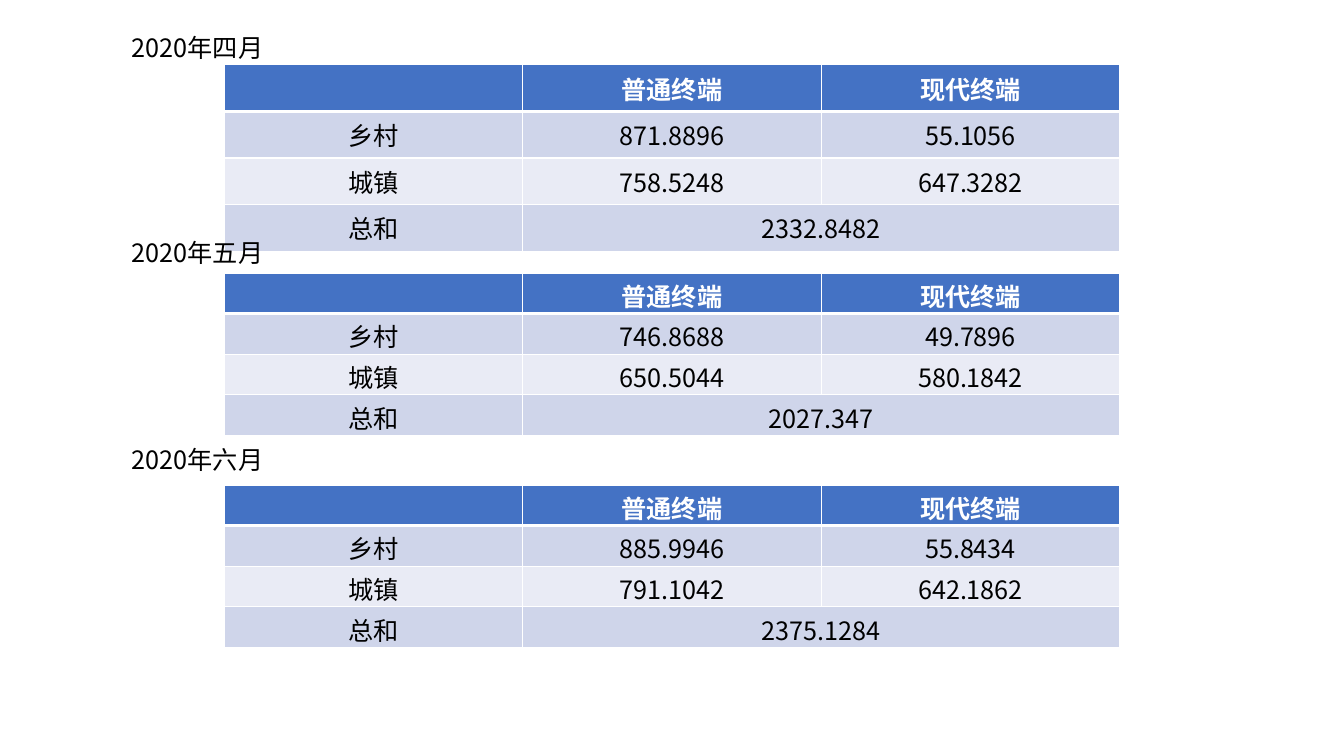
from lxml.etree import SubElement
from pptx import Presentation
from pptx.dml.color import RGBColor as Rgb
from pptx.enum.text import MSO_AUTO_SIZE as AutoSize, PP_ALIGN as Align
from pptx.oxml.ns import qn
from pptx.util import Pt

COLORS = {"header": "4472C4", "odd": "CFD5EA", "even": "E9EBF5",
          "line": "FFFFFF", "text": "000000", "header_text": "FFFFFF"}
FONT = "Noto Sans CJK SC"
TABLE_LEFT, COLUMN_WIDTH, ROW_HEIGHT = 160, 213.33, 29
HEADINGS = ["", "普通终端", "现代终端"]

# Label, label top, table top, bottom and top cell margins, rows
MONTHS = [
    ("2020年四月", 19.44, 46.3, 3.6, 3.6,
     [["乡村", "871.8896", "55.1056"],
      ["城镇", "758.5248", "647.3282"],
      ["总和", "2332.8482", ""]]),
    ("2020年五月", 165.6, 195, 0, 2.9,
     [["乡村", "746.8688", "49.7896"],
      ["城镇", "650.5044", "580.1842"],
      ["总和", "2027.347", ""]]),
    ("2020年六月", 313.92, 346.4, 0, 2.9,
     [["乡村", "885.9946", "55.8434"],
      ["城镇", "791.1042", "642.1862"],
      ["总和", "2375.1284", ""]]),
]


def write(frame, text, color="text", bold=False, align=Align.LEFT):
    paragraph = frame.paragraphs[0]
    paragraph.alignment = align
    if not text:
        paragraph.font.size = Pt(18)
        return
    run = paragraph.add_run()
    run.text = text
    run.font.size = Pt(18)
    run.font.bold = bold
    run.font.name = FONT
    run.font.color.rgb = Rgb.from_string(COLORS[color])
    SubElement(run.font._element, qn("a:ea"), typeface=FONT)


def add_borders(cell, widths):
    properties = cell._tc.get_or_add_tcPr()
    for position, (side, width) in enumerate(widths.items()):
        line = properties.makeelement(qn(f"a:ln{side}"), {"w": str(Pt(width))})
        fill = SubElement(line, qn("a:solidFill"))
        SubElement(fill, qn("a:srgbClr"), val=COLORS["line"])
        properties.insert(position, line)


def add_label(slide, text, top):
    label = slide.shapes.add_textbox(Pt(87.12), Pt(top), Pt(175), Pt(29))
    label.text_frame.word_wrap = True
    label.text_frame.auto_size = AutoSize.SHAPE_TO_FIT_TEXT
    write(label.text_frame, text)


def add_month_table(slide, top, margin_bottom, margin_top, rows):
    lines = [HEADINGS] + rows
    table = slide.shapes.add_table(
        len(lines), len(HEADINGS), Pt(TABLE_LEFT), Pt(top),
        Pt(COLUMN_WIDTH * len(HEADINGS)), Pt(ROW_HEIGHT * len(lines))).table
    for column in table.columns:
        column.width = Pt(COLUMN_WIDTH)
    for r, values in enumerate(lines):
        table.rows[r].height = Pt(ROW_HEIGHT)
        header = r == 0
        band = "header" if header else "odd" if r % 2 else "even"
        for c, value in enumerate(values):
            cell = table.cell(r, c)
            cell.margin_top, cell.margin_bottom = Pt(margin_top), Pt(margin_bottom)
            cell.fill.solid()
            cell.fill.fore_color.rgb = Rgb.from_string(COLORS[band])
            add_borders(cell, {"L": 1, "R": 1, "T": 3 if r == 1 else 1,
                               "B": 3 if header else 1})
            write(cell.text_frame, value, bold=header, align=Align.CENTER,
                  color="header_text" if header else "text")
    # The total spans both terminal columns
    total = len(lines) - 1
    table.cell(total, 1).merge(table.cell(total, 2))


def main():
    deck = Presentation()
    deck.slide_width, deck.slide_height = Pt(960), Pt(540)
    slide = deck.slides.add_slide(deck.slide_layouts[6])
    for label, label_top, table_top, margin_bottom, margin_top, rows in MONTHS:
        add_month_table(slide, table_top, margin_bottom, margin_top, rows)
        add_label(slide, label, label_top)
    deck.save("out.pptx")


if __name__ == "__main__":
    main()
